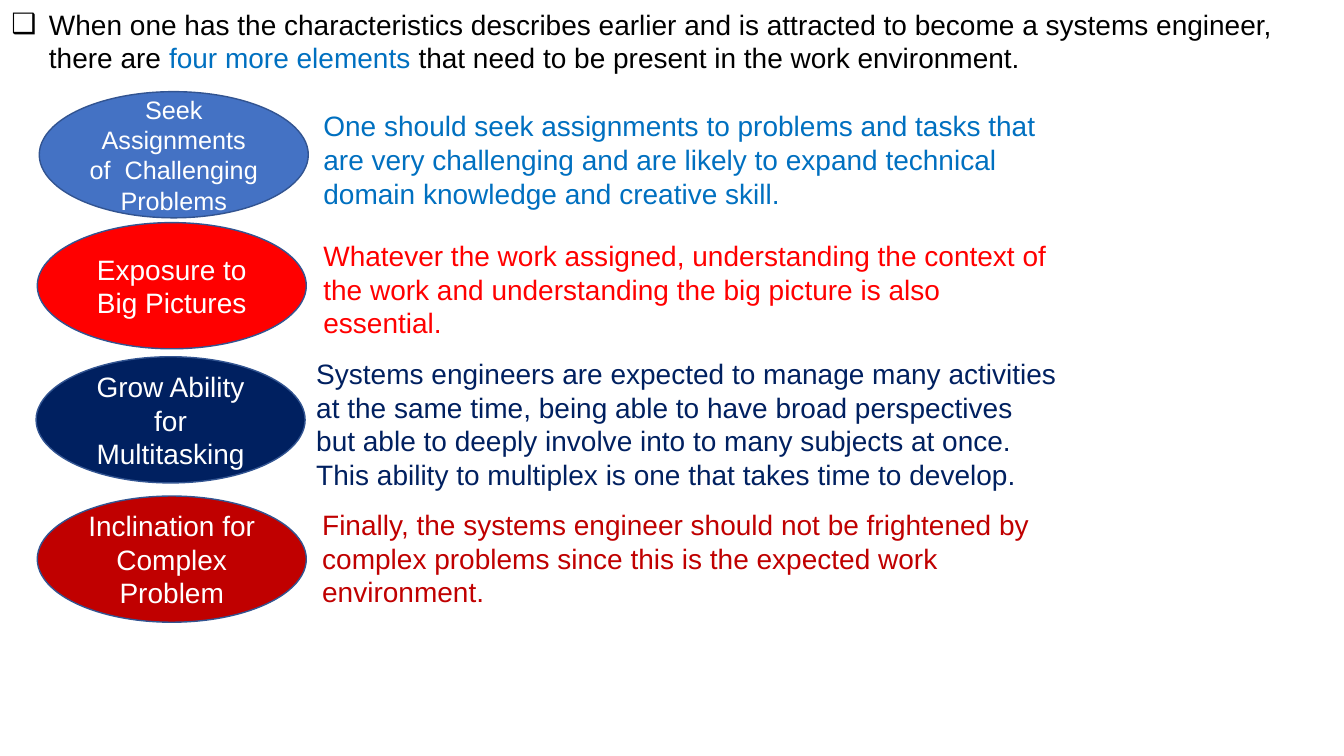
from dataclasses import dataclass

from lxml.etree import SubElement
from pptx import Presentation
from pptx.dml.color import RGBColor
from pptx.enum.shapes import MSO_SHAPE
from pptx.enum.text import MSO_ANCHOR, MSO_AUTO_SIZE, PP_ALIGN
from pptx.oxml.ns import qn
from pptx.slide import Slide
from pptx.text.text import TextFrame
from pptx.util import Cm, Pt

BLACK = RGBColor(0x00, 0x00, 0x00)
WHITE = RGBColor(0xFF, 0xFF, 0xFF)
AZURE = RGBColor(0x00, 0x70, 0xC0)
BLUE = RGBColor(0x44, 0x72, 0xC4)
RED = RGBColor(0xFF, 0x00, 0x00)
NAVY = RGBColor(0x00, 0x20, 0x60)
CRIMSON = RGBColor(0xC0, 0x00, 0x00)
EDGE = RGBColor(0x32, 0x54, 0x91)

FONT = "Arial"
OVAL_WIDTH, OVAL_HEIGHT = 6.78, 3.18
NOTE_RIGHT = 26.95


@dataclass
class Element:
    label: str
    fill: RGBColor
    left: float
    top: float
    note: str
    color: RGBColor
    note_left: float
    note_top: float
    note_height: float = 2.82
    size: int = 20


ELEMENTS = [
    Element("Seek\nAssignments of  Challenging Problems", BLUE, 0.99, 2.31,
            "One should seek assignments to problems and tasks that are very "
            "challenging and are likely to expand technical domain knowledge "
            "and creative skill.", AZURE, 7.9, 2.62, size=18),
    Element("Exposure to Big Pictures", RED, 0.94, 5.61,
            "Whatever the work assigned, understanding the context of the work "
            "and understanding the big picture is also essential.",
            RED, 7.9, 5.89),
    Element("Grow Ability for Multitasking", NAVY, 0.91, 8.99,
            "Systems engineers are expected to manage many activities at the "
            "same time, being able to have broad perspectives but able to deeply "
            "involve into to many subjects at once. This ability to multiplex is "
            "one that takes time to develop.", NAVY, 7.72, 8.86, 3.68),
    Element("Inclination for Complex Problem", CRIMSON, 0.94, 12.5,
            "Finally, the systems engineer should not be frightened by complex "
            "problems since this is the expected work environment.",
            CRIMSON, 7.87, 12.67),
]

INTRO = [
    ("When one has the characteristics describes earlier and is attracted to "
     "become a systems engineer, there are ", BLACK),
    ("four more elements ", AZURE),
    ("that need to be present in the work environment.", BLACK),
]


def write(frame: TextFrame, text: str, *, color: RGBColor, size: int = 20,
          align: PP_ALIGN = PP_ALIGN.LEFT) -> None:
    """Append text to the last paragraph; each newline starts another one."""
    frame.word_wrap = True
    for index, line in enumerate(text.split("\n")):
        para = frame.add_paragraph() if index else frame.paragraphs[-1]
        para.alignment = align
        run = para.add_run()
        run.text = line
        run.font.name = FONT
        run.font.size = Pt(size)
        run.font.color.rgb = color


def add_intro(slide: Slide) -> None:
    body = slide.placeholders[1]
    body.left, body.top = Cm(0.03), Cm(0.05)
    body.width, body.height = Cm(33.87), Cm(1.96)
    frame = body.text_frame
    frame.auto_size = MSO_AUTO_SIZE.NONE
    frame.vertical_anchor = MSO_ANCHOR.TOP
    for text, color in INTRO:
        write(frame, text, color=color)
    para = frame.paragraphs[0]
    para.space_before = Pt(0)
    props = para._p.get_or_add_pPr()
    props.set("marL", str(Cm(0.95)))
    props.set("indent", str(-Cm(0.95)))
    SubElement(props, qn("a:buFont"), typeface=FONT)
    SubElement(props, qn("a:buChar"), char="❑")


def add_oval(slide: Slide, item: Element) -> None:
    oval = slide.shapes.add_shape(MSO_SHAPE.OVAL, Cm(item.left), Cm(item.top),
                                  Cm(OVAL_WIDTH), Cm(OVAL_HEIGHT))
    oval.shadow.inherit = False
    oval.fill.solid()
    oval.fill.fore_color.rgb = item.fill
    oval.line.color.rgb = EDGE
    oval.line.width = Pt(1)
    oval.text_frame.vertical_anchor = MSO_ANCHOR.MIDDLE
    write(oval.text_frame, item.label, color=WHITE, size=item.size,
          align=PP_ALIGN.CENTER)


def add_note(slide: Slide, item: Element) -> None:
    box = slide.shapes.add_textbox(
        Cm(item.note_left), Cm(item.note_top),
        Cm(NOTE_RIGHT - item.note_left), Cm(item.note_height))
    write(box.text_frame, item.note, color=item.color)


def main() -> None:
    deck = Presentation()
    deck.slide_width, deck.slide_height = Cm(33.87), Cm(19.05)
    slide = deck.slides.add_slide(deck.slide_layouts[1])
    title = slide.shapes.title.element
    title.getparent().remove(title)
    add_intro(slide)
    for item in ELEMENTS:
        add_oval(slide, item)
        add_note(slide, item)
    deck.save("out.pptx")


if __name__ == "__main__":
    main()
